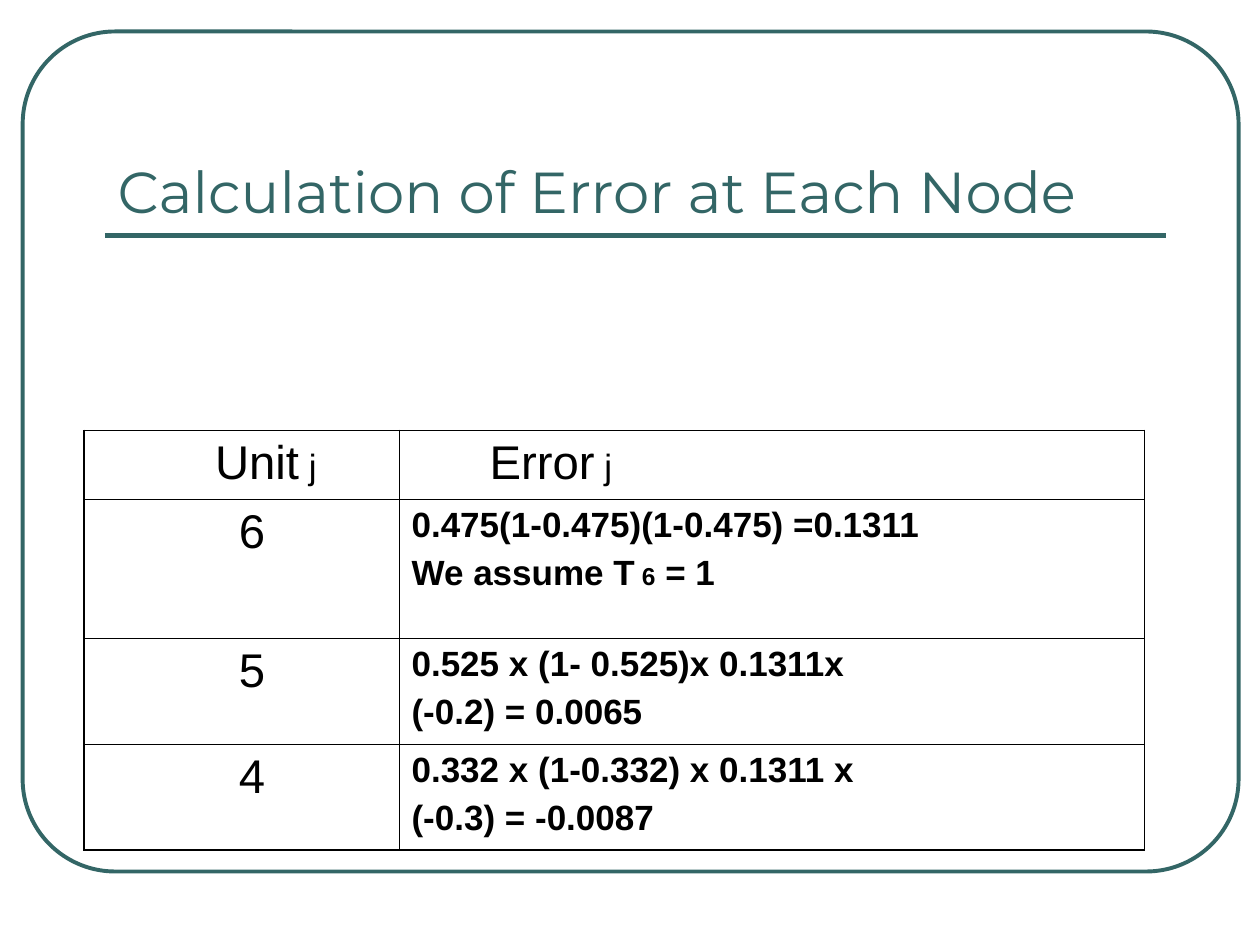
from lxml.etree import SubElement as Sub
from pptx import Presentation
from pptx.dml.color import RGBColor as Rgb
from pptx.enum.shapes import MSO_CONNECTOR as Conn, MSO_SHAPE as Kind
from pptx.enum.text import MSO_ANCHOR as Anchor, MSO_AUTO_SIZE as Auto, PP_ALIGN as Align
from pptx.oxml.ns import qn
from pptx.util import Inches, Pt

TEAL, BLACK = "336666", "000000"
THICK, THIN = 1.08, 0.45


def color(code):
    return Rgb.from_string(code)


class Deck:
    """Holds the style and the current slide; lengths are twelfths of an inch."""

    def __init__(self):
        self.prs = Presentation()
        self.prs.slide_width, self.prs.slide_height = Inches(10), Inches(7.5)
        self.slide = self.prs.slides.add_slide(self.prs.slide_layouts[5])
        self.shapes = self.slide.shapes

    def grid(self, *cells):
        return [Inches(n / 12) for n in cells]

    def font(self, run, size, face="Arial", code=BLACK, bold=False):
        run.font.size, run.font.name, run.font.bold = Pt(size), face, bold
        run.font.color.rgb = color(code)

    def frame(self, *box):
        shape = self.shapes.add_shape(Kind.ROUNDED_RECTANGLE, *self.grid(*box))
        shape.adjustments[0] = 0.11
        shape.shadow.inherit = False
        shape.fill.background()
        shape.line.color.rgb, shape.line.width = color(TEAL), Pt(2.25)

    def rule(self, *ends):
        line = self.shapes.add_connector(Conn.STRAIGHT, *self.grid(*ends))
        line.line.color.rgb, line.line.width = color(TEAL), Pt(3)
        Sub(line._element.spPr, qn("a:effectLst"))

    def title(self, text, *box):
        shape = self.shapes.title
        shape.left, shape.top, shape.width, shape.height = self.grid(*box)
        frame = shape.text_frame
        frame.text = text
        frame.auto_size, frame.vertical_anchor = Auto.NONE, Anchor.BOTTOM
        frame.paragraphs[0].alignment = Align.LEFT
        self.font(frame.paragraphs[0].runs[0], 33, "Montserrat", TEAL)
        # Bring the title in front of the frame
        self.shapes._spTree.append(shape._element)

    def border(self, cell, sides):
        for side, width in sides.items():
            line = Sub(cell._tc.get_or_add_tcPr(), qn("a:ln" + side), w=str(Pt(width)))
            Sub(Sub(line, qn("a:solidFill")), qn("a:srgbClr"), val=BLACK)

    def fill(self, cell, lines, indent, space, bold):
        frame = cell.text_frame
        for i, parts in enumerate(lines):
            para = frame.add_paragraph() if i else frame.paragraphs[0]
            para.space_before = Pt(space)
            para._p.get_or_add_pPr().set("marL", str(Inches(indent)))
            for text, size in parts:
                run = para.add_run()
                run.text = text
                self.font(run, size, bold=bold)

    def table(self, rows, wide, high, *spot):
        box = self.grid(*spot, sum(wide), sum(high))
        table = self.shapes.add_table(len(rows), len(wide), *box).table
        table.first_row = table.horz_banding = False
        for col, size in zip(table.columns, wide):
            col.width = Inches(size / 12)
        for row, size in zip(table.rows, high):
            row.height = Inches(size / 12)
        for r, row in enumerate(rows):
            for c, lines in enumerate(row):
                cell = table.cell(r, c)
                edges = {"L": c == 0, "R": c == len(wide) - 1,
                         "T": r == 0, "B": r == len(rows) - 1}
                self.border(cell, {s: THICK if e else THIN for s, e in edges.items()})
                cell.fill.background()
                # Headings and unit numbers are indented, sums are bold
                indent = (0.62 if c else 0.94) if r == 0 else (0 if c else 1.13)
                space = 6.8 if r and not c else 5
                self.fill(cell, lines, indent, space, bold=bool(r and c))


def main():
    deck = Deck()

    # Frame, title and rule
    deck.frame(2.16, 3, 115.8, 80)
    deck.rule(10, 22.4, 111, 22.4)
    deck.title("Calculation of Error at Each Node", 10, 7, 101, 15)

    # Errors by unit: each cell is a list of lines, each line a list of (text, size)
    sums = {
        "6": [[("0.475(1-0.475)(1-0.475) =0.1311", 20)],
              [("We assume T", 20), (" 6", 14), (" = 1", 20)]],
        "5": [[("0.525 x (1- 0.525)x 0.1311x", 20)], [("(-0.2) = 0.0065", 20)]],
        "4": [[("0.332 x (1-0.332) x 0.1311 x", 20)], [("(-0.3) = -0.0087", 20)]],
    }
    rows = [[[[(name, 27), (" j", 20)]] for name in ("Unit", "Error")]]
    rows += [[[[(unit, 27)]], lines] for unit, lines in sums.items()]
    deck.table(rows, (30, 71), (6.6, 13.2, 10.1, 10.1), 8, 41)

    deck.prs.save("out.pptx")


if __name__ == "__main__":
    main()
